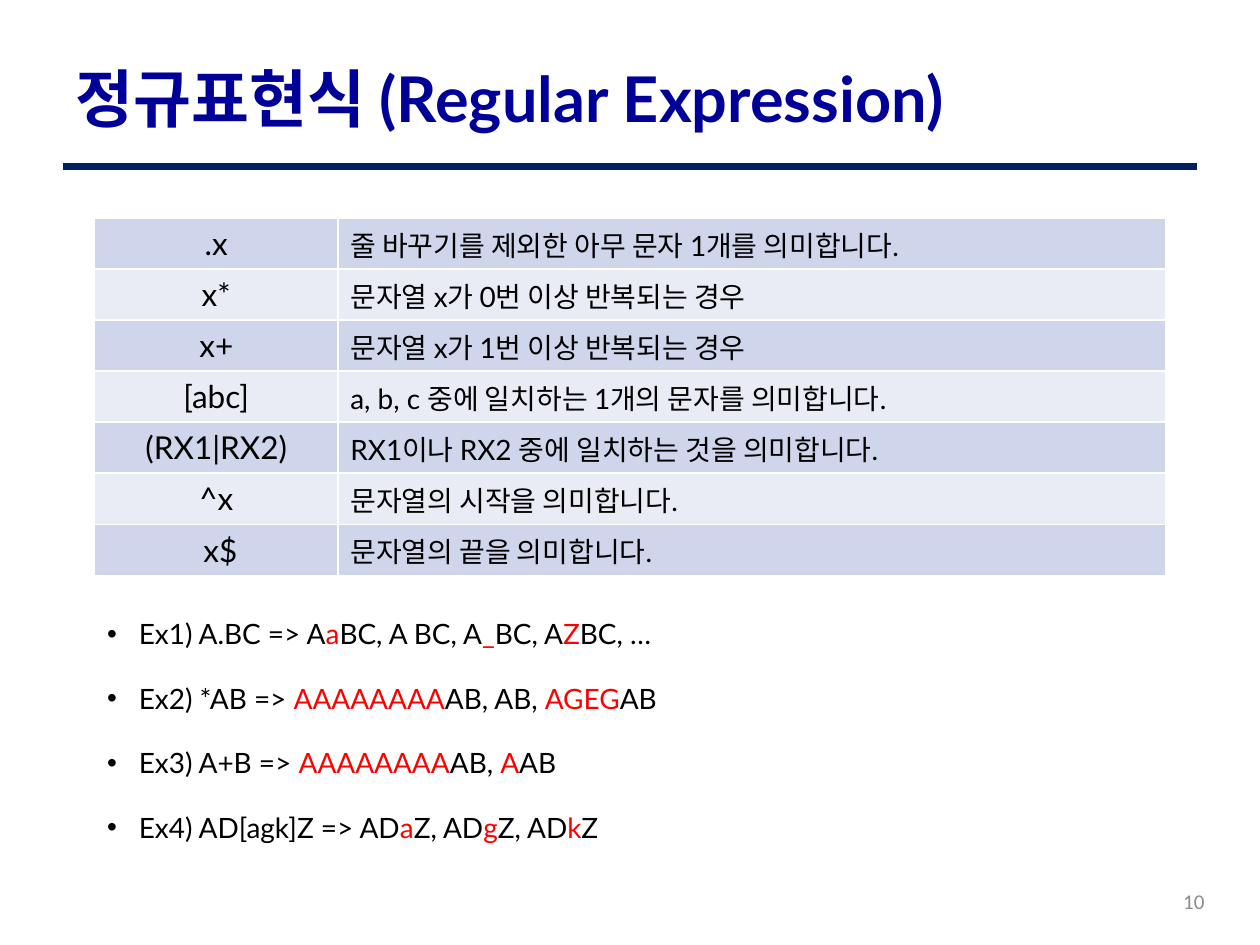
from dataclasses import dataclass

from lxml.etree import SubElement
from pptx import Presentation
from pptx.dml.color import RGBColor
from pptx.enum.shapes import MSO_CONNECTOR
from pptx.enum.text import MSO_ANCHOR, MSO_AUTO_SIZE, PP_ALIGN
from pptx.oxml.ns import qn
from pptx.util import Cm, Pt


@dataclass(frozen=True)
class Theme:
    font: str = "Lato"
    number_font: str = "Calibri"
    title: str = "000099"
    rule: str = "002060"
    text: str = "000000"
    match: str = "FF0000"
    number: str = "8C8C8C"
    border: str = "FFFFFF"
    bands: tuple = ("CFD5EA", "E9EBF5")
    title_size: int = 36
    pattern_size: int = 18
    body_size: int = 16
    number_size: int = 12


THEME = Theme()

PATTERNS = [
    (".x", "줄 바꾸기를 제외한 아무 문자 1개를 의미합니다."),
    ("x*", "문자열 x가 0번 이상 반복되는 경우"),
    ("x+", "문자열 x가 1번 이상 반복되는 경우"),
    ("[abc]", "a, b, c 중에 일치하는 1개의 문자를 의미합니다."),
    ("(RX1|RX2)", "RX1이나 RX2 중에 일치하는 것을 의미합니다."),
    ("^x", "문자열의 시작을 의미합니다."),
    (" x$", "문자열의 끝을 의미합니다."),
]

# Bars enclose the matched characters
EXAMPLES = [
    "Ex1) A.BC => A|a|BC, A BC, A|_|BC, A|Z|BC, …",
    "Ex2) *AB => |AAAAAAAA|AB, AB, |AGEG|AB",
    "Ex3) A+B => |AAAAAAAA|AB, |A|AB",
    "Ex4) AD[agk]Z => AD|a|Z, AD|g|Z, AD|k|Z",
]


def write(paragraph, text, size=THEME.body_size, color=THEME.text,
          font=THEME.font, bold=False, align=PP_ALIGN.LEFT):
    paragraph.alignment = align
    run = paragraph.add_run()
    run.text = text
    run.font.size = Pt(size)
    run.font.name = font
    run.font.bold = bold
    run.font.color.rgb = RGBColor.from_string(color)


def add_title(slide, text):
    title = slide.shapes.title
    title.left, title.top, title.width, title.height = Cm(1.27), Cm(0.76), Cm(24.13), Cm(2.59)
    frame = title.text_frame
    frame.auto_size = MSO_AUTO_SIZE.NONE
    frame.vertical_anchor = MSO_ANCHOR.MIDDLE
    frame.paragraphs[0].line_spacing = 0.9
    write(frame.paragraphs[0], text, size=THEME.title_size, color=THEME.title, bold=True)


def add_rule(slide):
    rule = slide.shapes.add_connector(
        MSO_CONNECTOR.STRAIGHT, Cm(1.27), Cm(3.35), Cm(24.13), Cm(3.35))
    rule.line.color.rgb = RGBColor.from_string(THEME.rule)
    rule.line.width = Pt(4)
    SubElement(rule.element.spPr, qn("a:effectLst"))


def add_borders(cell):
    properties = cell._tc.get_or_add_tcPr()
    for side in ("lnL", "lnR", "lnT", "lnB"):
        border = SubElement(properties, qn(f"a:{side}"), w=str(Pt(1)))
        fill = SubElement(border, qn("a:solidFill"))
        SubElement(fill, qn("a:srgbClr"), val=THEME.border)


def add_pattern_table(slide):
    row_height = Cm(1.03)
    table = slide.shapes.add_table(
        len(PATTERNS), 2, Cm(1.91), Cm(4.39), Cm(21.59), row_height * len(PATTERNS)).table
    table.first_row = False
    table.columns[0].width, table.columns[1].width = Cm(4.9), Cm(16.69)
    formats = (dict(size=THEME.pattern_size, align=PP_ALIGN.CENTER), {})
    for index, texts in enumerate(PATTERNS):
        table.rows[index].height = row_height
        for cell, text, text_format in zip(table.rows[index].cells, texts, formats):
            add_borders(cell)
            cell.fill.solid()
            cell.fill.fore_color.rgb = RGBColor.from_string(THEME.bands[index % 2])
            cell.vertical_anchor = MSO_ANCHOR.MIDDLE
            write(cell.text_frame.paragraphs[0], text, **text_format)


def add_text_frame(slide, left, top, width, height):
    frame = slide.shapes.add_textbox(Cm(left), Cm(top), Cm(width), Cm(height)).text_frame
    frame.word_wrap = True
    return frame


def add_bullet(paragraph):
    properties = paragraph._p.get_or_add_pPr()
    properties.set("marL", str(Cm(0.64)))
    properties.set("indent", str(-Cm(0.64)))
    SubElement(properties, qn("a:buFont"), typeface="Arial")
    SubElement(properties, qn("a:buChar"), char="•")


def add_examples(slide):
    frame = add_text_frame(slide, 1.91, 12.04, 12.73, 5.23)
    for index, example in enumerate(EXAMPLES):
        paragraph = frame.add_paragraph() if index else frame.paragraphs[0]
        paragraph.line_spacing = 1.4
        paragraph.space_before = Pt(10)
        add_bullet(paragraph)
        for part, text in enumerate(example.split("|")):
            write(paragraph, text, color=THEME.match if part % 2 else THEME.text)


def add_page_number(slide, number):
    frame = add_text_frame(slide, 17.93, 17.65, 6.6, 1.02)
    frame.vertical_anchor = MSO_ANCHOR.MIDDLE
    write(frame.paragraphs[0], number, size=THEME.number_size, color=THEME.number,
          font=THEME.number_font, align=PP_ALIGN.RIGHT)


def main():
    presentation = Presentation()
    presentation.slide_width, presentation.slide_height = Cm(25.4), Cm(19.05)
    slide = presentation.slides.add_slide(presentation.slide_layouts[5])

    # Heading and page number
    add_rule(slide)
    add_page_number(slide, "10")
    add_title(slide, "정규표현식 (Regular Expression)")

    # Patterns and their matches
    add_pattern_table(slide)
    add_examples(slide)

    presentation.save("out.pptx")


if __name__ == "__main__":
    main()
